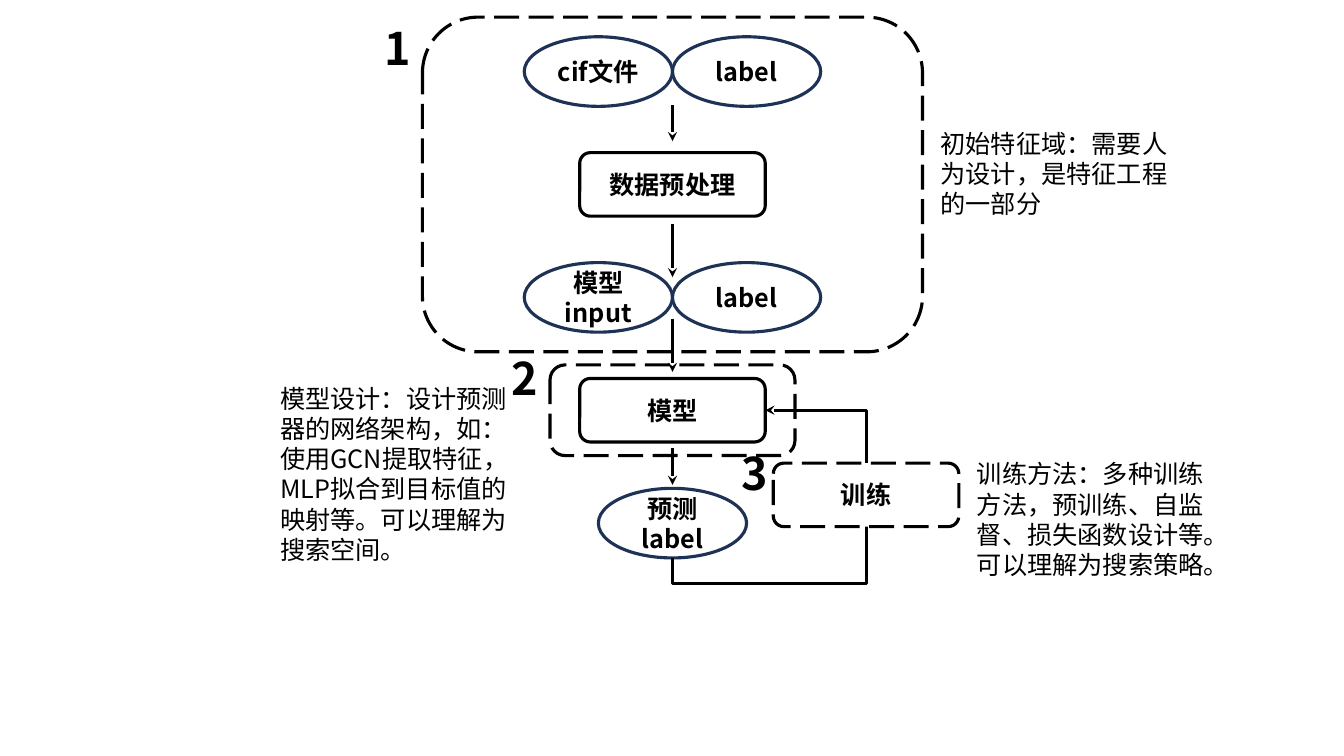
"""Build a flow slide: features, model and training of a property predictor."""
from dataclasses import dataclass

from lxml.etree import SubElement
from pptx import Presentation
from pptx.dml.color import RGBColor
from pptx.enum.dml import MSO_LINE
from pptx.enum.shapes import MSO_CONNECTOR, MSO_SHAPE
from pptx.enum.text import MSO_ANCHOR, PP_ALIGN
from pptx.oxml.ns import qn
from pptx.util import Inches, Pt


@dataclass(frozen=True)
class Theme:
    ink: RGBColor = RGBColor(0, 0, 0)
    paper: RGBColor = RGBColor(255, 255, 255)
    oval_edge: RGBColor = RGBColor(0x1E, 0x32, 0x56)
    font: str = "Noto Sans CJK SC"
    body: int = 18
    number: int = 32
    stroke: float = 2.25


THEME = Theme()
WIDTH, HEIGHT = 13.33, 7.5
AXIS = 6.67
FIRST_ROW, ROW_PITCH = 0.71, 1.12
OVAL = (1.47, 0.69)
BOX = (1.84, 0.63)
TRAINING_CENTRE = (8.59, 4.91)
LOOP_DROP = 0.25

FRAMES = [(3, 2.43, 0.9), (1, 4.96, 3.32)]
OVALS = [
    ("cif文件", 0, -0.5), ("label", 0, 0.5),
    ("模型input", 2, -0.5), ("label", 2, 0.5),
    ("预测label", 4, 0),
]
STEPS = [("数据预处理", 1), ("模型", 3)]
TRAINING = "训练"
ARROWS = [(1.04, 1.4), (2.22, 2.75), (3.16, 3.69), (4.44, 4.81)]
NOTES = [
    ("初始特征域：需要人为设计，是特征工程的一部分", 9.23, 1.22, 1.01),
    ("模型设计：设计预测器的网络架构，如：使用GCN提取特征，"
     "MLP拟合到目标值的映射等。可以理解为搜索空间。", 2.68, 3.75, 1.92),
    ("训练方法：多种训练方法，预训练、自监督、损失函数设计等。"
     "可以理解为搜索策略。", 9.59, 4.5, 1.31),
]
NOTE_WIDTH = 2.58
NUMBERS = [("1", 3.72, 0.16), ("2", 4.98, 3.43), ("3", 7.26, 4.37)]
NUMBER_SIZE = (0.56, 0.64)


def row_centre(row):
    return FIRST_ROW + row * ROW_PITCH


def write(frame, text, size, bold):
    frame.text = text
    frame.word_wrap = True
    run = frame.paragraphs[0].runs[0]
    run.font.size = Pt(size)
    run.font.bold = bold
    run.font.color.rgb = THEME.ink
    run.font.name = THEME.font
    SubElement(run.font._element, qn("a:ea"), typeface=THEME.font)


def add_node(slide, kind, centre, size, edge, text="", dashed=False):
    (x, y), (width, height) = centre, size
    node = slide.shapes.add_shape(kind, Inches(x - width / 2), Inches(y - height / 2),
                                  Inches(width), Inches(height))
    node.shadow.inherit = False
    node.fill.solid()
    node.fill.fore_color.rgb = THEME.paper
    node.line.color.rgb = edge
    node.line.width = Pt(THEME.stroke)
    if dashed:
        node.line.dash_style = MSO_LINE.LONG_DASH
    if text:
        write(node.text_frame, text, THEME.body, True)
        node.text_frame.vertical_anchor = MSO_ANCHOR.MIDDLE
        node.text_frame.paragraphs[0].alignment = PP_ALIGN.CENTER


def add_arrow(slide, kind, start, end):
    arrow = slide.shapes.add_connector(kind, *map(Inches, (*start, *end)))
    arrow.line.color.rgb = THEME.ink
    arrow.line.width = Pt(THEME.stroke)
    SubElement(arrow.line._get_or_add_ln(), qn("a:tailEnd"), type="stealth")
    SubElement(arrow._element.spPr, qn("a:effectLst"))
    return arrow


def add_training_loop(slide):
    start_x, start_y = AXIS, row_centre(4) + OVAL[1] / 2
    end_x, end_y = AXIS + BOX[0] / 2, row_centre(3)
    rise, run = start_y - end_y, end_x - start_x
    middle_x, middle_y = (start_x + end_x) / 2, (start_y + end_y) / 2
    loop = add_arrow(slide, MSO_CONNECTOR.ELBOW,
                     (middle_x + rise / 2, middle_y + run / 2),
                     (middle_x - rise / 2, middle_y - run / 2))
    properties = loop._element.spPr
    properties.find(qn("a:xfrm")).set("rot", str(90 * 60000))
    geometry = properties.find(qn("a:prstGeom"))
    geometry.set("prst", "bentConnector4")
    guides = geometry.find(qn("a:avLst"))
    if guides is None:
        guides = SubElement(geometry, qn("a:avLst"))
    bends = (-LOOP_DROP / rise, (TRAINING_CENTRE[0] - start_x) / run)
    for index, share in enumerate(bends, 1):
        SubElement(guides, qn("a:gd"), name=f"adj{index}",
                   fmla=f"val {round(share * 100000)}")


def add_text(slide, text, left, top, width, height, size, bold=False):
    box = slide.shapes.add_textbox(*map(Inches, (left, top, width, height)))
    write(box.text_frame, text, size, bold)


def main():
    deck = Presentation()
    deck.slide_width, deck.slide_height = Inches(WIDTH), Inches(HEIGHT)
    slide = deck.slides.add_slide(deck.slide_layouts[6])

    for row, width, height in FRAMES:
        add_node(slide, MSO_SHAPE.ROUNDED_RECTANGLE, (AXIS, row_centre(row)),
                 (width, height), THEME.ink, dashed=True)
    for text, row in STEPS:
        add_node(slide, MSO_SHAPE.ROUNDED_RECTANGLE, (AXIS, row_centre(row)),
                 BOX, THEME.ink, text)
    for text, row, shift in OVALS:
        add_node(slide, MSO_SHAPE.OVAL, (AXIS + shift * OVAL[0], row_centre(row)),
                 OVAL, THEME.oval_edge, text)
    for top, bottom in ARROWS:
        add_arrow(slide, MSO_CONNECTOR.STRAIGHT, (AXIS, top), (AXIS, bottom))
    add_training_loop(slide)
    add_node(slide, MSO_SHAPE.ROUNDED_RECTANGLE, TRAINING_CENTRE, BOX,
             THEME.ink, TRAINING, dashed=True)

    for text, left, top, height in NOTES:
        add_text(slide, text, left, top, NOTE_WIDTH, height, THEME.body)
    for text, left, top in NUMBERS:
        add_text(slide, text, left, top, *NUMBER_SIZE, THEME.number, bold=True)
    deck.save("out.pptx")


if __name__ == "__main__":
    main()
